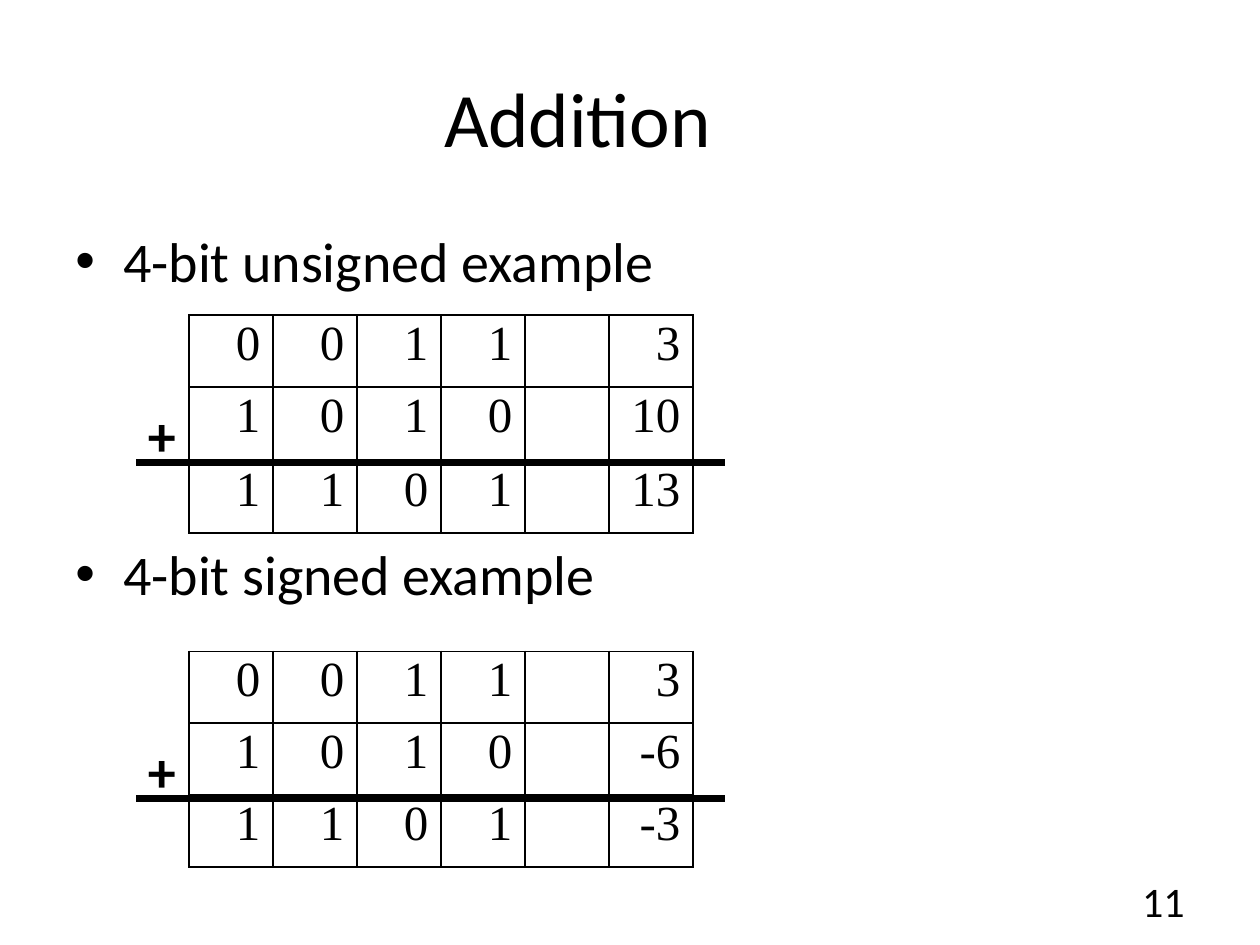
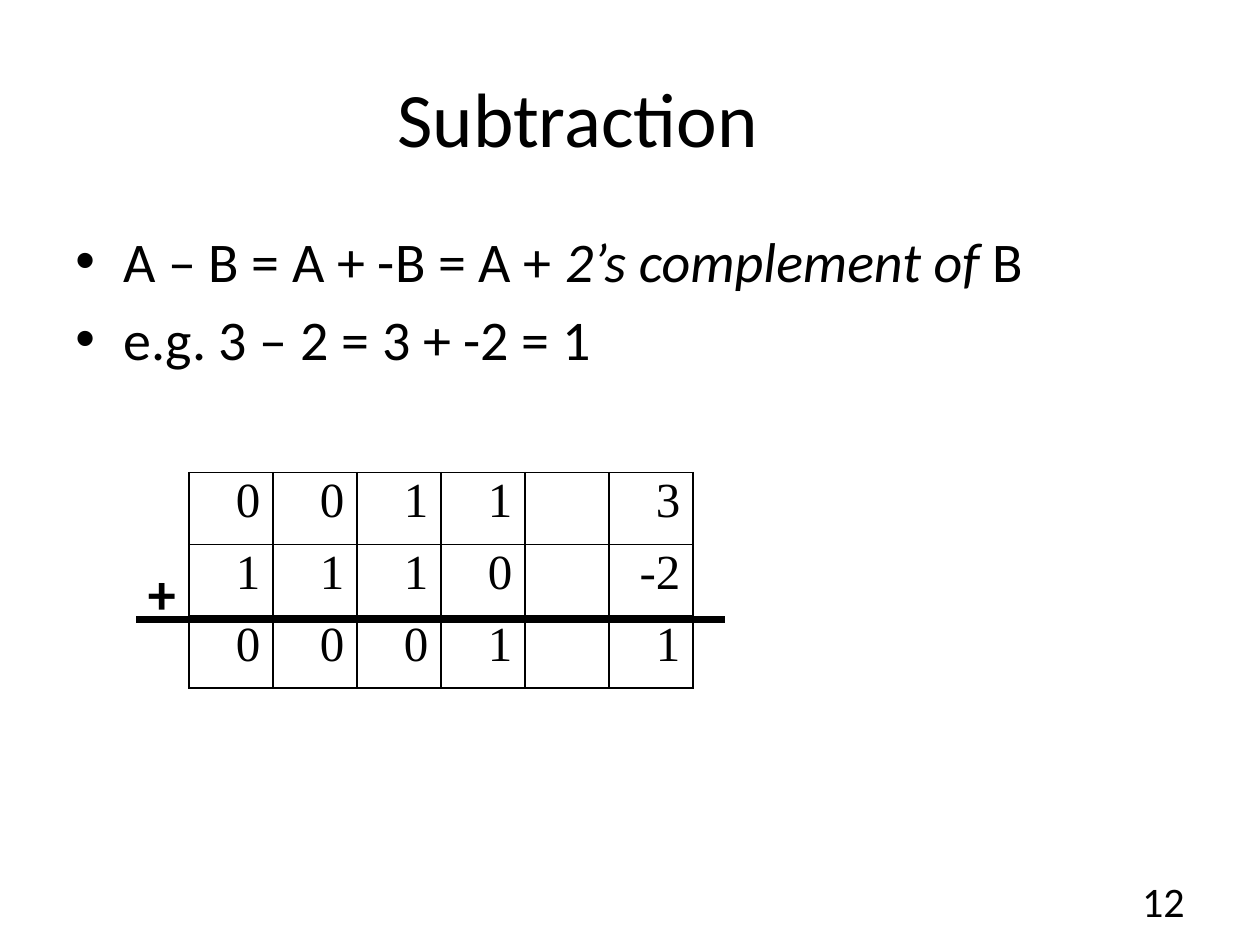
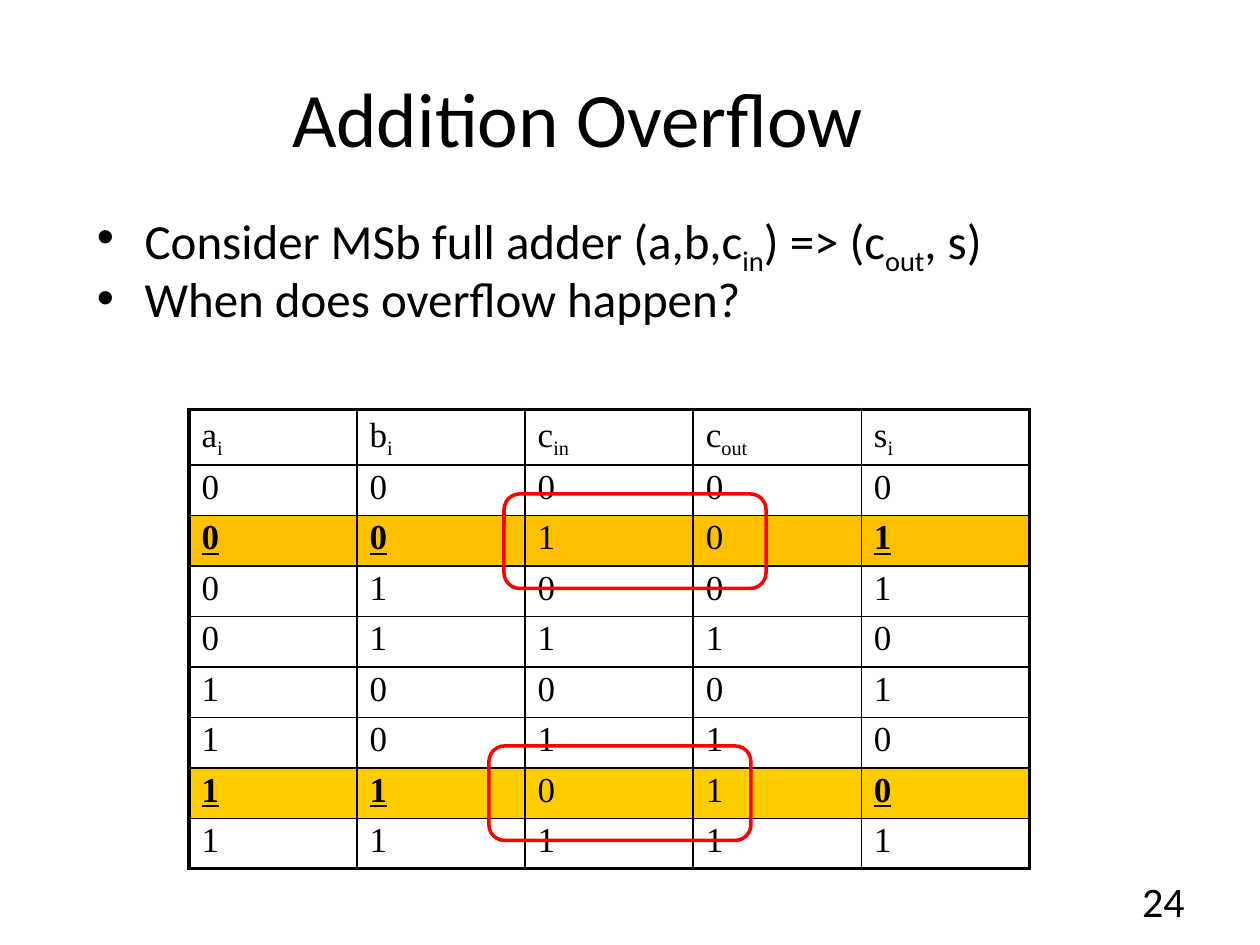
from dataclasses import dataclass
from typing import Optional, Sequence

import pptx
import pptx.dml.color
import pptx.enum.shapes
import pptx.enum.text
import pptx.oxml
import pptx.oxml.ns
import pptx.oxml.xmlchemy
import pptx.util

Inches = pptx.util.Inches
Pt = pptx.util.Pt
Align = pptx.enum.text.PP_ALIGN
Anchor = pptx.enum.text.MSO_ANCHOR

BLACK = "000000"
WHITE = "FFFFFF"
RED = "FF0000"
AMBER = "FFC000"
YELLOW = "FFCC00"
BODY_FONT = "Calibri"
TABLE_FONT = "Times New Roman"
THIN, THICK = 1, 2.25


@dataclass(frozen=True)
class Box:
    left: float
    top: float
    width: float
    height: float

    def emu(self) -> tuple:
        return tuple(Inches(v) for v in (self.left, self.top, self.width, self.height))


@dataclass(frozen=True)
class Piece:
    text: str
    italic: bool = False
    subscript: bool = False
    emphasis: bool = False  # bold and underlined


@dataclass(frozen=True)
class Bullet:
    pieces: Sequence[Piece]
    space_before: float = 0


@dataclass(frozen=True)
class Sum:
    """A worked binary sum: two operands above a rule, the result below."""
    top: float
    rows: Sequence[str]
    row_heights: Sequence[float] = (0.57, 0.57, 0.57)


TITLE_BOX = Box(0.5, 0.3, 8.17, 1.25)
BODY_BOX = Box(0.5, 1.75, 9, 4.95)
NUMBER_BOX = Box(8.33, 6.95, 1.17, 0.4)


def color(value: str) -> pptx.dml.color.RGBColor:
    return pptx.dml.color.RGBColor.from_string(value)


# Text
def format_run(run, size: float, font: str = BODY_FONT) -> None:
    run.font.size = Pt(size)
    run.font.name = font
    run.font.color.rgb = color(BLACK)


def add_pieces(paragraph, pieces: Sequence[Piece], size: float, font: str = BODY_FONT) -> None:
    for piece in pieces:
        run = paragraph.add_run()
        run.text = piece.text
        format_run(run, size, font)
        if piece.italic:
            run.font.italic = True
        if piece.emphasis:
            run.font.bold = run.font.underline = True
        if piece.subscript:
            run.font._element.set("baseline", "-25000")


def add_label(slide, text: str, box: Box, size: float, align, anchor=Anchor.MIDDLE,
              wrap: bool = True, bold: bool = False) -> None:
    frame = slide.shapes.add_textbox(*box.emu()).text_frame
    frame.word_wrap = wrap
    frame.vertical_anchor = anchor
    frame.text = text
    paragraph = frame.paragraphs[0]
    paragraph.alignment = align
    format_run(paragraph.runs[0], size)
    paragraph.runs[0].font.bold = bold


def add_bullets(slide, bullets: Sequence[Bullet], box: Box = BODY_BOX, size: float = 32,
                line_spacing: float = 1.0) -> None:
    frame = slide.shapes.add_textbox(*box.emu()).text_frame
    frame.word_wrap = True
    for index, bullet in enumerate(bullets):
        paragraph = frame.add_paragraph() if index else frame.paragraphs[0]
        properties = paragraph._p.get_or_add_pPr()
        properties.set("marL", str(Inches(0.38)))
        properties.set("indent", str(-Inches(0.38)))
        for tag, name, value in (("buFont", "typeface", "Arial"), ("buChar", "char", "•")):
            element = pptx.oxml.xmlchemy.OxmlElement(f"a:{tag}")
            element.set(name, value)
            properties.append(element)
        paragraph.line_spacing = line_spacing
        if index:
            paragraph.space_before = Pt(bullet.space_before)
        add_pieces(paragraph, bullet.pieces, size)


# Tables
def set_borders(cell, left: float, right: float, top: float, bottom: float) -> None:
    properties = cell._tc.get_or_add_tcPr()
    for index, (side, width) in enumerate(zip("LRTB", (left, right, top, bottom))):
        properties.insert(index, pptx.oxml.parse_xml(
            f'<a:ln{side} {pptx.oxml.ns.nsdecls("a")} w="{Pt(width)}"><a:solidFill>'
            f'<a:srgbClr val="{BLACK}"/></a:solidFill></a:ln{side}>'))


def add_grid(slide, rows: Sequence[Sequence[Sequence[Piece]]], left: float, top: float,
             width: float, row_heights: Sequence[float], size: float, align,
             outline: float = THIN, row_fills: Optional[dict] = None) -> None:
    row_count, column_count = len(rows), len(rows[0])
    box = Box(left, top, width, sum(row_heights))
    table = slide.shapes.add_table(row_count, column_count, *box.emu()).table
    table.first_row = table.horz_banding = False
    for column in table.columns:
        column.width = Inches(width / column_count)
    for r, (cells, height) in enumerate(zip(rows, row_heights)):
        table.rows[r].height = Inches(height)
        fill = (row_fills or {}).get(r)
        for c, pieces in enumerate(cells):
            cell = table.cell(r, c)
            if fill:
                cell.fill.solid()
                cell.fill.fore_color.rgb = color(fill)
            else:
                cell.fill.background()
            set_borders(cell,
                        outline if c == 0 else THIN,
                        outline if c == column_count - 1 else THIN,
                        outline if r == 0 else THIN,
                        outline if r == row_count - 1 else THIN)
            paragraph = cell.text_frame.paragraphs[0]
            paragraph.alignment = align
            paragraph.line_spacing = 0.9
            add_pieces(paragraph, pieces, size, TABLE_FONT)


def add_sum(slide, item: Sum) -> None:
    # Each row holds four bits, an empty spacer column and the decimal value
    rows = []
    for row in item.rows:
        bits, value = row.split()
        rows.append([[Piece(bit)] for bit in bits] + [[], [Piece(value)]])
    add_grid(slide, rows, 1.5, item.top, 4, item.row_heights, 28, Align.RIGHT)
    rule_top = Inches(item.top + 1.17)
    rule = slide.shapes.add_connector(pptx.enum.shapes.MSO_CONNECTOR.STRAIGHT,
                                      Inches(1.08), rule_top, Inches(5.75), rule_top)
    rule.line.color.rgb = color(BLACK)
    rule.line.width = Pt(4)
    rule._element.spPr.append(pptx.oxml.xmlchemy.OxmlElement("a:effectLst"))
    add_label(slide, "+", Box(1.07, item.top + 0.63, 0.43, 0.64), 32, Align.CENTER,
              Anchor.TOP, wrap=False, bold=True)


def add_highlight(slide, box: Box) -> None:
    shape = slide.shapes.add_shape(pptx.enum.shapes.MSO_SHAPE.ROUNDED_RECTANGLE, *box.emu())
    shape.shadow.inherit = False
    shape.fill.background()
    shape.line.color.rgb = color(RED)
    shape.line.width = Pt(2)


# Slides
def add_slide(presentation, title: str, number: int):
    slide = presentation.slides.add_slide(presentation.slide_layouts[6])
    slide.background.fill.solid()
    slide.background.fill.fore_color.rgb = color(WHITE)
    add_label(slide, title, TITLE_BOX, 44, Align.CENTER)
    add_label(slide, str(number), NUMBER_BOX, 24, Align.RIGHT)
    return slide


def build_addition(presentation) -> None:
    slide = add_slide(presentation, "Addition", 11)
    add_bullets(slide, [Bullet([Piece("4-bit unsigned example")]),
                        Bullet([Piece("4-bit signed example")], space_before=140.5)])
    add_sum(slide, Sum(2.5, ("0011 3", "1010 10", "1101 13"), (0.57, 0.59, 0.57)))
    add_sum(slide, Sum(5.17, ("0011 3", "1010 -6", "1101 -3")))


def build_subtraction(presentation) -> None:
    slide = add_slide(presentation, "Subtraction", 12)
    add_bullets(slide, [
        Bullet([Piece("A – B = A + -B = A + "), Piece("2’s complement of", italic=True),
                Piece(" B")]),
        Bullet([Piece("e.g. 3 – 2 = 3 + -2 = 1")], space_before=6)])
    add_sum(slide, Sum(3.75, ("0011 3", "1110 -2", "0001 1")))


def build_overflow(presentation) -> None:
    slide = add_slide(presentation, "Addition Overflow", 24)
    add_bullets(slide, [
        Bullet([Piece("Consider MSb full adder (a,b,c"), Piece("in", subscript=True),
                Piece(") => (c"), Piece("out", subscript=True), Piece(", s)")]),
        Bullet([Piece("When does overflow happen?")], space_before=5.6),
    ], Box(0.67, 1.67, 8.5, 1.42), 28, 0.8)

    # Full adder truth table; overflow rows stress the operands and the sum
    row_fills = {2: AMBER, 7: YELLOW}
    names = (("a", "i"), ("b", "i"), ("c", "in"), ("c", "out"), ("s", "i"))
    rows = [[[Piece(name), Piece(index, subscript=True)] for name, index in names]]
    for number in range(8):
        a, b, carry_in = number >> 2, number >> 1 & 1, number & 1
        carry_out, total = divmod(a + b + carry_in, 2)
        overflow = number + 1 in row_fills
        rows.append([[Piece(str(bit), emphasis=overflow and column not in (2, 3))]
                     for column, bit in enumerate((a, b, carry_in, carry_out, total))])
    add_grid(slide, rows, 1.5, 3.25, 6.67, [0.4] * len(rows), 20, Align.LEFT,
             THICK, row_fills)
    for left, top in ((4, 3.92), (3.88, 5.92)):
        add_highlight(slide, Box(left, top, 2.08, 0.75))


def main() -> None:
    presentation = pptx.Presentation()
    presentation.slide_width = Inches(10)
    presentation.slide_height = Inches(7.5)
    build_addition(presentation)
    build_subtraction(presentation)
    build_overflow(presentation)
    presentation.save("out.pptx")


if __name__ == "__main__":
    main()
